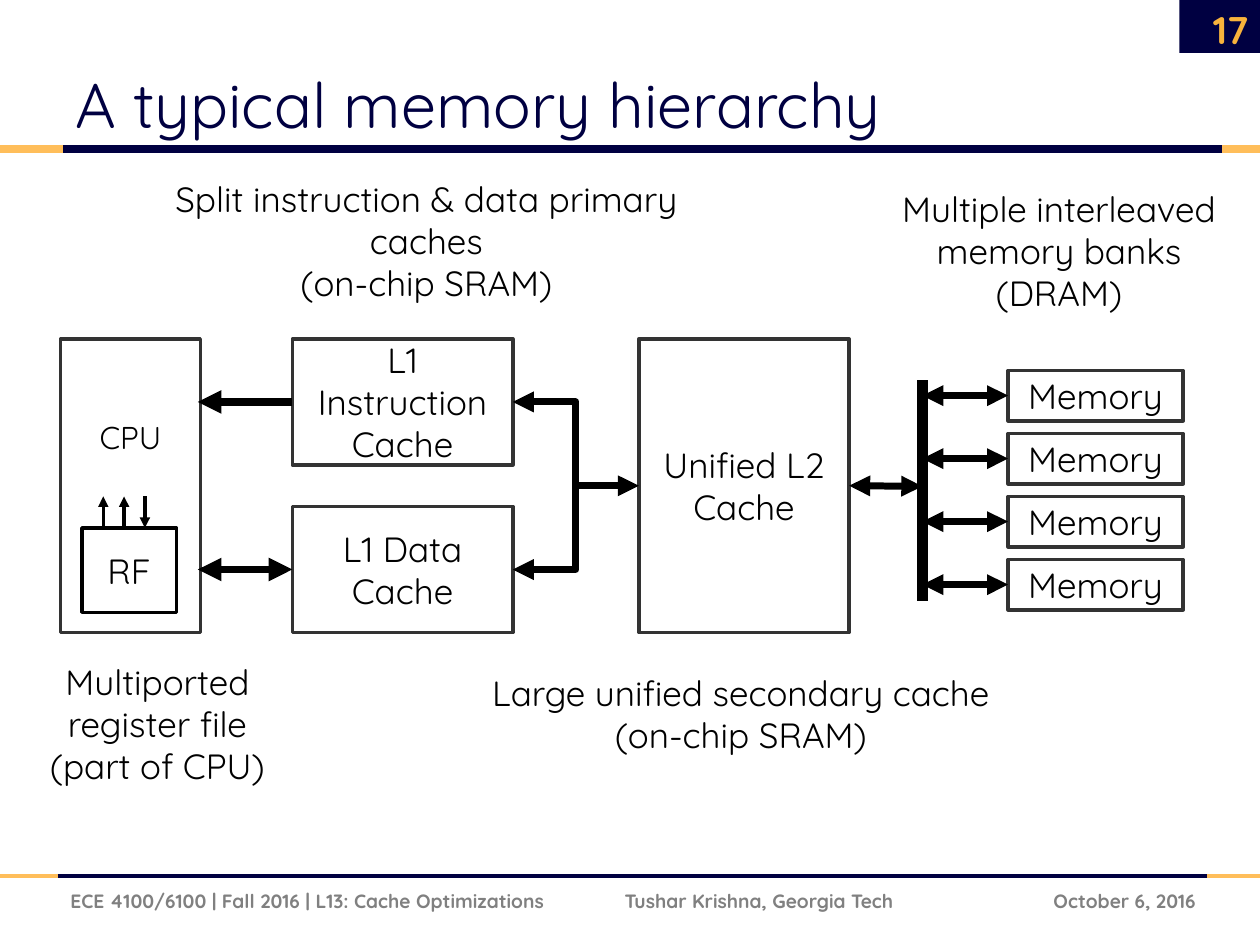
import pptx
import pptx.util
import pptx.dml.color
import pptx.enum.shapes
import pptx.enum.text
import pptx.oxml.ns
from lxml import etree

Inches = pptx.util.Inches
Pt = pptx.util.Pt
RGBColor = pptx.dml.color.RGBColor
ALIGN = pptx.enum.text.PP_ALIGN
ANCHOR = pptx.enum.text.MSO_ANCHOR
qn = pptx.oxml.ns.qn

NAVY = RGBColor(0x00, 0x00, 0x41)
GOLD = RGBColor(0xFF, 0xBE, 0x5A)
NUMBER_GOLD = RGBColor(0xF8, 0xB3, 0x3C)
GRAY = RGBColor(0x80, 0x80, 0x80)
CHARCOAL = RGBColor(0x33, 0x33, 0x33)
BLACK = RGBColor(0x00, 0x00, 0x00)
WHITE = RGBColor(0xFF, 0xFF, 0xFF)
FONT = "Quicksand"


def set_text(shape, text, size=20, color=BLACK, bold=False,
             align=ALIGN.CENTER, anchor=ANCHOR.MIDDLE, wrap=True):
    frame = shape.text_frame
    frame.text = text
    frame.word_wrap = wrap
    frame.vertical_anchor = anchor
    for para in frame.paragraphs:
        para.alignment = align
        for span in para.runs:
            span.font.name = FONT
            span.font.size = Pt(size)
            span.font.bold = bold
            span.font.color.rgb = color


def add_label(page, box, text, **style):
    label = page.shapes.add_textbox(*map(Inches, box))
    set_text(label, text, **style)


def add_block(page, box, text="", outline=CHARCOAL, fill=WHITE, wrap=True):
    block = page.shapes.add_shape(
        pptx.enum.shapes.MSO_SHAPE.RECTANGLE, *map(Inches, box))
    block.shadow.inherit = False
    block.fill.solid()
    block.fill.fore_color.rgb = fill
    if outline is None:
        block.line.fill.background()
    else:
        block.line.color.rgb = outline
        block.line.width = Pt(2)
    if text:
        set_text(block, text, wrap=wrap)
    return block


def style_line(shape, color, width, ends):
    """Colour a line; ends names the arrowheads: headEnd at its start, tailEnd at its finish."""
    shape.line.color.rgb = color
    shape.line.width = Pt(width)
    outline = shape.line._get_or_add_ln()
    for end in ends:
        etree.SubElement(outline, qn("a:" + end), type="triangle")


def add_line(page, start, finish, width, color=BLACK, ends=()):
    line = page.shapes.add_connector(
        pptx.enum.shapes.MSO_CONNECTOR.STRAIGHT,
        *map(Inches, (*start, *finish)))
    style_line(line, color, width, ends)
    etree.SubElement(line._element.spPr, qn("a:effectLst"))
    return line


def add_elbow(page, points, ends):
    corners = [(Inches(x), Inches(y)) for x, y in points]
    builder = page.shapes.build_freeform(*corners[0])
    builder.add_line_segments(corners[1:], close=False)
    elbow = builder.convert_to_shape()
    elbow.shadow.inherit = False
    elbow.fill.background()
    style_line(elbow, BLACK, 4, ends)


BOTH = ("headEnd", "tailEnd")
FORWARD = ("tailEnd",)


def add_rule(page, y, left, right, width):
    """Draw a full-width rule, navy between left and right and gold outside."""
    stops = (0, left, right, 10)
    for start, finish, color in zip(stops, stops[1:], (GOLD, NAVY, GOLD)):
        add_line(page, (start, y), (finish, y), width, color)


def add_header(page):
    add_block(page, (9.36, 0, 0.68, 0.42), outline=None, fill=NAVY)
    add_label(page, (9.34, 0.03, 0.67, 0.4), "17", size=22,
              color=NUMBER_GOLD, bold=True, align=ALIGN.RIGHT)
    add_rule(page, 1.18, 0.5, 9.7, 4.5)
    add_label(page, (0.5, 0.17, 8.18, 1), "A typical memory hierarchy",
              size=36, color=NAVY, align=ALIGN.LEFT, anchor=ANCHOR.BOTTOM)


def add_footer(page, top, height):
    add_rule(page, top, 0.46, 9.58, 2.25)
    for left, width, text, align in (
            (0.46, 4.2, "ECE 4100/6100 | Fall 2016 | L13: Cache Optimizations", ALIGN.LEFT),
            (4.86, 2.6, "Tushar Krishna, Georgia Tech", ALIGN.LEFT),
            (7.67, 1.92, "October 6, 2016", ALIGN.RIGHT)):
        add_label(page, (left, top, width, height), text,
                  size=11, color=GRAY, bold=True, align=align)


def add_cpu(page, left, top, width, height):
    add_block(page, (left, top, width, height))
    add_label(page, (left, top + 0.58, width, 0.4), "CPU", size=18, anchor=ANCHOR.TOP)
    file_top = top + 1.5
    add_block(page, (left + 0.17, file_top, 0.75, 0.67), "RF", BLACK, wrap=False)
    for port, is_write in enumerate((False, False, True)):
        x = left + 0.34 + port * 0.165
        ends = [(x, file_top), (x, file_top - 0.25)]
        if is_write:
            ends.reverse()
        add_line(page, *ends, 2, ends=FORWARD)


def add_caches(page, left, top, cpu_right):
    instruction = add_block(page, (left, top, 1.75, 1), "L1 Instruction Cache")
    data = add_block(page, (left, top + 1.33, 1.75, 1), "L1 Data Cache")
    upper, lower = top + 0.5, top + 1.83
    for cache, y, ends in ((instruction, upper, FORWARD), (data, lower, BOTH)):
        link = add_line(page, (left, y), (cpu_right, y), 4.5, ends=ends)
        link.begin_connect(cache, 1)

    right, bend, l2_left = left + 1.75, left + 2.25, left + 2.75
    middle = (upper + lower) / 2
    l2 = add_block(page, (l2_left, top, 1.67, 2.33), "Unified L2 Cache")
    add_elbow(page, [(right, upper), (bend, upper), (bend, middle), (l2_left, middle)], BOTH)
    add_elbow(page, [(bend, middle), (bend, lower), (right, lower)], FORWARD)
    return l2


def add_memory(page, left, top, bus, l2):
    add_line(page, (bus, top + 0.08), (bus, top + 1.83), 6)
    for bank in range(4):
        y = top + bank * 0.5
        memory = add_block(page, (left, y, 1.39, 0.4), "Memory", wrap=False)
        link = add_line(page, (left, y + 0.2), (bus, y + 0.2), 4, ends=BOTH)
        link.begin_connect(memory, 1)
    link = add_line(page, (6.74, 3.86), (bus, 3.86), 4, ends=BOTH)
    link.begin_connect(l2, 3)


def add_captions(page):
    for box, text in (
            ((0.15, 5.18, 2.2, 1.12), "Multiported register file (part of CPU)"),
            ((1.15, 1.35, 4.47, 1.12),
             "Split instruction & data primary caches\n(on-chip SRAM)"),
            ((6.9, 1.43, 3.01, 1.12), "Multiple interleaved memory banks (DRAM)"),
            ((3.57, 5.27, 4.62, 0.78), "Large unified secondary cache (on-chip SRAM)")):
        add_label(page, box, text)


def main():
    deck = pptx.Presentation()
    deck.slide_width, deck.slide_height = Inches(10), Inches(7.5)
    page = deck.slides.add_slide(deck.slide_layouts[6])
    add_header(page)
    add_footer(page, 6.95, 0.4)
    add_cpu(page, 0.48, 2.69, 1.11, 2.33)
    l2 = add_caches(page, 2.32, 2.69, 1.57)
    add_memory(page, 8, 2.94, 7.32, l2)
    add_captions(page)
    deck.save("out.pptx")


if __name__ == "__main__":
    main()
